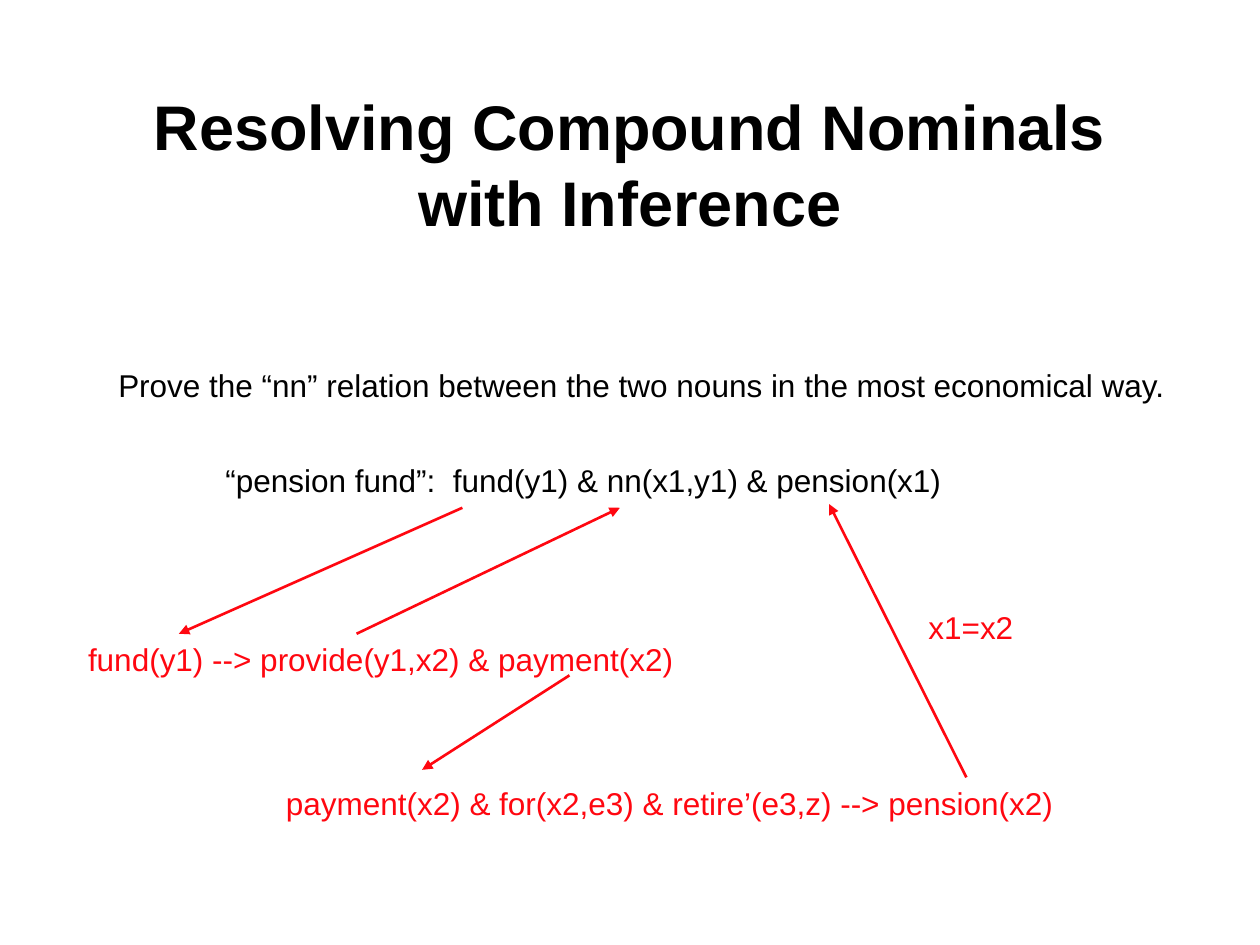
from lxml import etree
from pptx import Presentation
from pptx.dml.color import RGBColor
from pptx.enum import shapes, text
from pptx.oxml import ns
from pptx.util import Inches, Pt

BLACK, RED = "000000", "FF0710"
FONT = "Arial"

# Content
TITLE = "Resolving Compound Nominals\vwith Inference"
STATEMENTS = [  # text, left, top, width, colour
    ("Prove the “nn” relation between the two nouns in the most economical way.",
     0.84, 2.86, 8.55, BLACK),
    ("“pension fund”:  fund(y1) & nn(x1,y1) & pension(x1)", 1.69, 3.61, 5.92, BLACK),
    ("fund(y1) --> provide(y1,x2) & payment(x2)", 0.6, 5.03, 4.88, RED),
    ("payment(x2) & for(x2,e3) & retire’(e3,z) --> pension(x2)", 2.17, 6.17, 6.32, RED),
    ("x1=x2", 7.27, 4.78, 0.91, RED),
]
ARROWS = [  # start, end
    ((3.67, 4.03), (1.42, 5.03)),
    ((2.83, 5.03), (4.92, 4.03)),
    ((4.52, 5.36), (3.35, 6.11)),
    ((7.67, 6.17), (6.58, 4)),
]


def rgb(colour):
    return RGBColor.from_string(colour)


def style(p, size, colour, bold=False):
    p.font.name, p.font.size, p.font.bold = FONT, Pt(size), bold
    p.font.color.rgb = rgb(colour)


def add_statement(s, words, left, top, width, colour):
    box = s.shapes.add_textbox(Inches(left), Inches(top), Inches(width), Inches(0.4))
    tf = box.text_frame
    tf.word_wrap = False
    tf.auto_size = text.MSO_AUTO_SIZE.SHAPE_TO_FIT_TEXT
    tf.text = words
    style(tf.paragraphs[0], 18, colour)


def add_arrow(s, start, end):
    points = [Inches(v) for v in start + end]
    arrow = s.shapes.add_connector(shapes.MSO_CONNECTOR.STRAIGHT, *points)
    arrow.line.color.rgb = rgb(RED)
    arrow.line.width = Pt(1.5)
    etree.SubElement(arrow.line._get_or_add_ln(), ns.qn("a:tailEnd"), type="triangle")
    etree.SubElement(arrow._element.spPr, ns.qn("a:effectLst"))


prs = Presentation()
prs.slide_width, prs.slide_height = Inches(10), Inches(7.5)
s = prs.slides.add_slide(prs.slide_layouts[5])

# Title
title = s.shapes.title
title.left, title.top = Inches(0.75), Inches(0.67)
title.width, title.height = Inches(8.5), Inches(1.25)
tf = title.text_frame
tf.text = TITLE
tf.vertical_anchor = text.MSO_ANCHOR.MIDDLE
tf.paragraphs[0].alignment = text.PP_ALIGN.CENTER
style(tf.paragraphs[0], 36, BLACK, bold=True)

# Statements and the inference arrows between them
for statement in STATEMENTS:
    add_statement(s, *statement)
for start, end in ARROWS:
    add_arrow(s, start, end)

prs.save("out.pptx")
